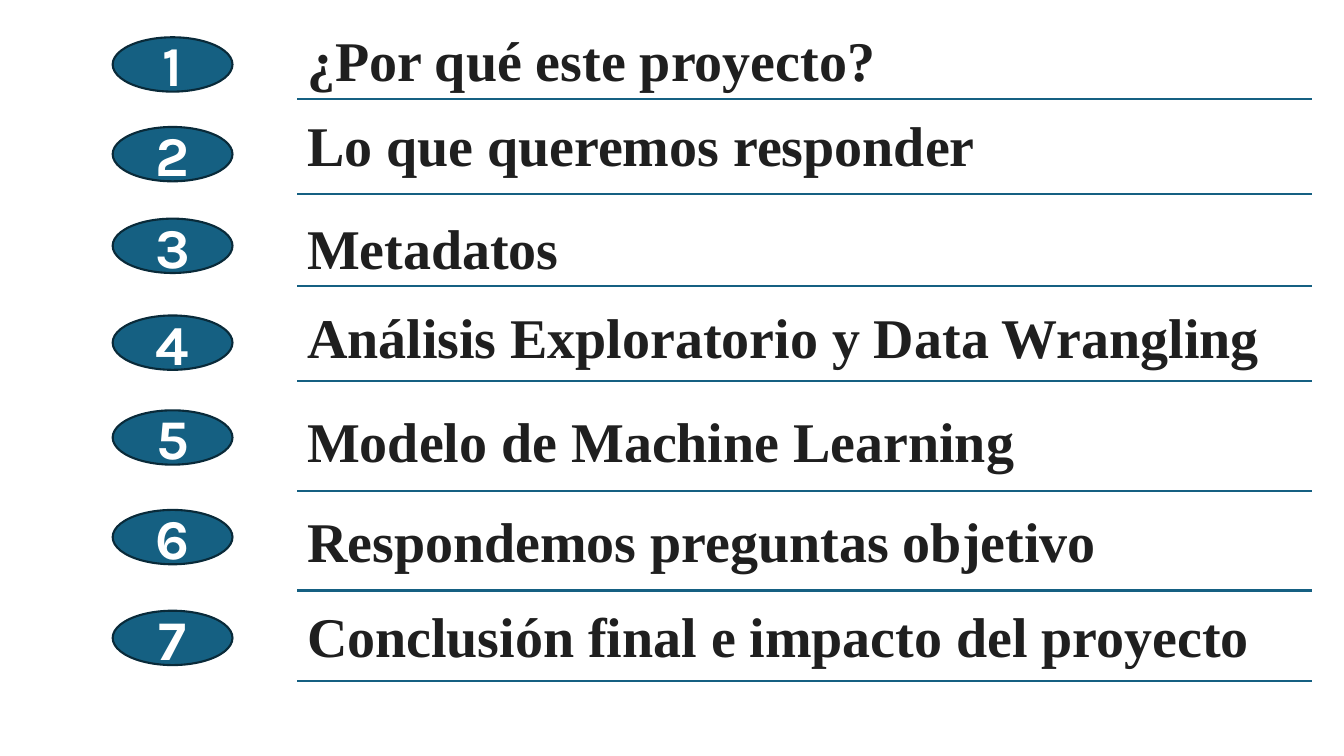
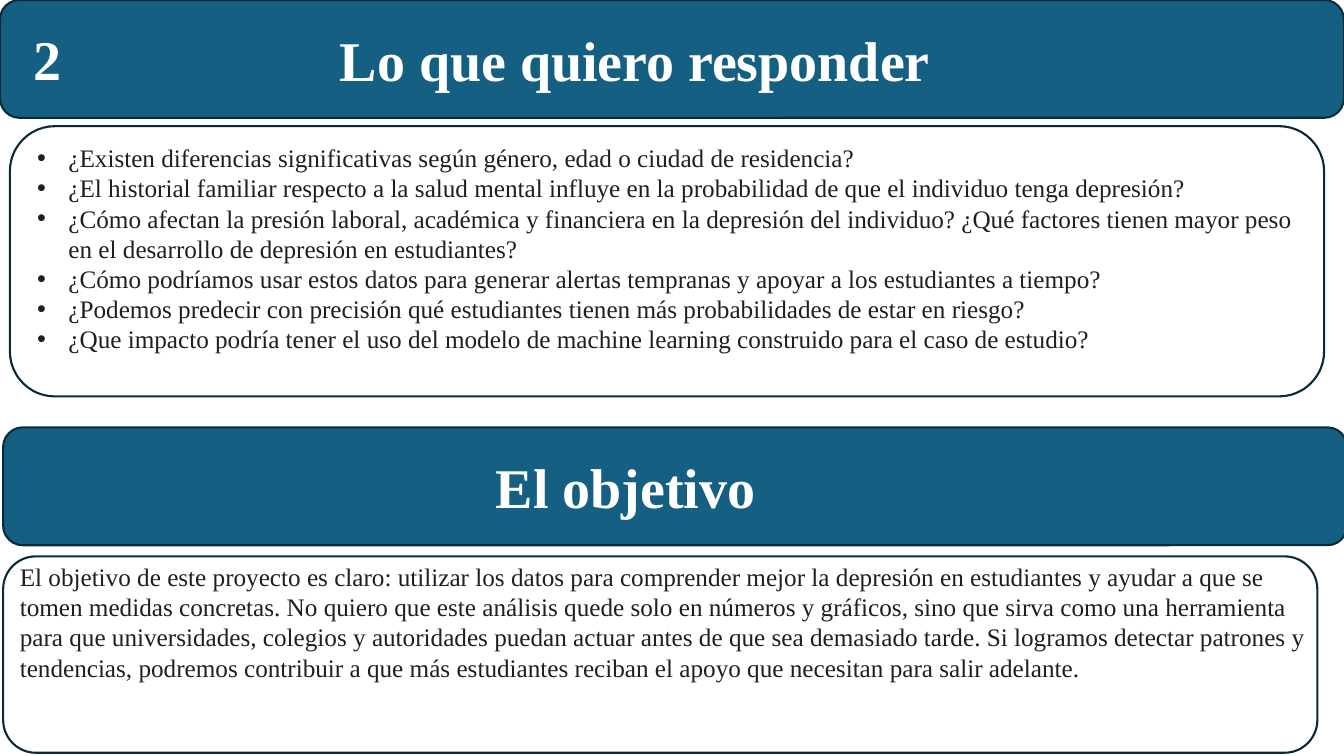
from collections import namedtuple

from lxml import etree
from pptx import Presentation
from pptx.dml.color import RGBColor
from pptx.enum.shapes import MSO_CONNECTOR, MSO_SHAPE
from pptx.enum.text import MSO_ANCHOR, MSO_AUTO_SIZE, PP_ALIGN
from pptx.oxml.ns import qn
from pptx.util import Cm, Pt

OVAL, ROUNDED = MSO_SHAPE.OVAL, MSO_SHAPE.ROUNDED_RECTANGLE
STRAIGHT = MSO_CONNECTOR.STRAIGHT
TOP, MIDDLE = MSO_ANCHOR.TOP, MSO_ANCHOR.MIDDLE
LEFT, CENTER = PP_ALIGN.LEFT, PP_ALIGN.CENTER
NO_AUTOFIT = MSO_AUTO_SIZE.NONE

BLUE = RGBColor(0x15, 0x60, 0x82)
NAVY = RGBColor(0x09, 0x2A, 0x39)
INK = RGBColor(0x1F, 0x1F, 0x1F)
WHITE = RGBColor(0xFF, 0xFF, 0xFF)

SERIF, NUMBER_FONT = "Times New Roman", "Karla"
HEADING_SIZE, BODY_SIZE = Pt(40), Pt(18)
LINE_WIDTH = Pt(1.5)
HEADING_HEIGHT = 1.96
BULLET_INDENT = Cm(0.79)

TITLE_AND_CONTENT, BLANK = 1, 6

# Lengths in centimetres
Box = namedtuple("Box", "left top width height")
AgendaItem = namedtuple("AgendaItem", "label oval_top text_top rule_top")

AGENDA_BOX = Box(2.84, 0, 30.23, 19.05)
AGENDA = [
    AgendaItem("¿Por qué este proyecto?", 0.94, 0.53, 2.49),
    AgendaItem("Lo que queremos responder", 3.2, 2.67, 4.88),
    AgendaItem("Metadatos", 5.51, 5.26, 7.21),
    AgendaItem("Análisis Exploratorio y Data Wrangling", 7.95, 7.49, 9.6),
    AgendaItem("Modelo de Machine Learning", 10.34, 10.11, 12.37),
    AgendaItem("Respondemos preguntas objetivo", 12.85, 12.65, 14.88),
    AgendaItem("Conclusión final e impacto del proyecto", 15.39, 15.04, 17.17),
]

QUESTIONS = [
    "¿Existen diferencias significativas según género, edad o ciudad de residencia?",
    "¿El historial familiar respecto a la salud mental influye en la probabilidad "
    "de que el individuo tenga depresión?",
    "¿Cómo afectan la presión laboral, académica y financiera en la depresión del "
    "individuo? ¿Qué factores tienen mayor peso en el desarrollo de depresión en "
    "estudiantes?",
    "¿Cómo podríamos usar estos datos para generar alertas tempranas y apoyar a "
    "los estudiantes a tiempo?",
    "¿Podemos predecir con precisión qué estudiantes tienen más probabilidades de "
    "estar en riesgo?",
    "¿Que impacto podría tener el uso del modelo de machine learning construido "
    "para el caso de estudio?",
]
OBJECTIVE = (
    "El objetivo de este proyecto es claro: utilizar los datos para comprender "
    "mejor la depresión en estudiantes y ayudar a que se tomen medidas concretas. "
    "No quiero que este análisis quede solo en números y gráficos, sino que sirva "
    "como una herramienta para que universidades, colegios y autoridades puedan "
    "actuar antes de que sea demasiado tarde. Si logramos detectar patrones y "
    "tendencias, podremos contribuir a que más estudiantes reciban el apoyo que "
    "necesitan para salir adelante."
)


def to_cm(box):
    return [Cm(length) for length in box]


def place(shape, box):
    shape.left, shape.top, shape.width, shape.height = to_cm(box)


def write(shape, texts, size, color, font=SERIF, bold=False, align=LEFT, anchor=TOP):
    """Fill the shape with one paragraph per text."""
    frame = shape.text_frame
    frame.text = "\n".join(texts)
    frame.word_wrap = True
    frame.auto_size = NO_AUTOFIT
    frame.vertical_anchor = anchor
    for paragraph in frame.paragraphs:
        paragraph.alignment = align
        paragraph.space_before = Pt(0)
        paragraph.font.name = font
        paragraph.font.size = size
        paragraph.font.bold = bold
        paragraph.font.color.rgb = color


def add_text(slide, box, text, size, color, bold=False):
    write(slide.shapes.add_textbox(*to_cm(box)), [text], size, color, bold=bold)


def add_outlined(slide, kind, box, fill=None):
    shape = slide.shapes.add_shape(kind, *to_cm(box))
    shape.shadow.inherit = False
    if fill is None:
        shape.fill.background()
    else:
        shape.fill.solid()
        shape.fill.fore_color.rgb = fill
    shape.line.color.rgb = NAVY
    shape.line.width = LINE_WIDTH
    return shape


def add_rule(slide, left, right, top):
    rule = slide.shapes.add_connector(STRAIGHT, Cm(left), Cm(top), Cm(right), Cm(top))
    rule.line.color.rgb = BLUE
    rule.line.width = LINE_WIDTH
    properties = rule.element.find(qn("p:spPr"))
    etree.SubElement(properties, qn("a:effectLst"))


def add_band(slide, left, top):
    box = Box(left, top, 33.87, 2.97)
    return box, add_outlined(slide, ROUNDED, box, BLUE)


def heading_box(band, offset, width):
    """Box for a heading, centred vertically in its band."""
    top = band.top + (band.height - HEADING_HEIGHT) / 2
    return Box(band.left + offset, top, width, HEADING_HEIGHT)


def add_agenda_item(slide, box, number, item):
    oval_box = Box(box.left, box.top + item.oval_top, 3.02, 1.37)
    oval = add_outlined(slide, OVAL, oval_box, BLUE)
    write(oval, [str(number)], HEADING_SIZE, WHITE, NUMBER_FONT, True, CENTER, MIDDLE)
    text_left = box.left + 4.65
    text_box = Box(text_left, box.top + item.text_top, 26.2, HEADING_HEIGHT)
    add_text(slide, text_box, item.label, HEADING_SIZE, INK, bold=True)
    add_rule(slide, text_left, box.left + box.width, box.top + item.rule_top)


def build_agenda_slide(presentation):
    slide = presentation.slides.add_slide(presentation.slide_layouts[BLANK])
    for number, item in enumerate(AGENDA, start=1):
        add_agenda_item(slide, AGENDA_BOX, number, item)


def add_title_band(slide, left, top, number, text):
    band, band_shape = add_band(slide, left, top)
    title = slide.shapes.title
    title.element.addprevious(band_shape.element)
    place(title, heading_box(band, 8.31, 20))
    write(title, [text], HEADING_SIZE, WHITE, bold=True)
    add_text(slide, heading_box(band, 0.6, 2), number, HEADING_SIZE, WHITE, bold=True)


def add_question_card(slide, box):
    add_outlined(slide, ROUNDED, box)
    body = slide.placeholders[1]
    place(body, Box(box.left + 0.43, box.top + 0.28, box.width - 0.46, 5.64))
    write(body, QUESTIONS, BODY_SIZE, INK)
    for paragraph in body.text_frame.paragraphs:
        properties = paragraph._p.get_or_add_pPr()
        properties.set("marL", str(BULLET_INDENT))
        properties.set("indent", str(-BULLET_INDENT))


def add_objective(slide, left, top):
    band, _ = add_band(slide, left, top)
    add_text(slide, heading_box(band, 12.17, 16.94), "El objetivo",
             HEADING_SIZE, WHITE, bold=True)
    card = Box(left, top + 3.25, 33.12, 4.95)
    add_outlined(slide, ROUNDED, card)
    text_box = Box(card.left + 0.17, card.top, card.width, 3.33)
    add_text(slide, text_box, OBJECTIVE, BODY_SIZE, INK)


def build_questions_slide(presentation):
    layout = presentation.slide_layouts[TITLE_AND_CONTENT]
    slide = presentation.slides.add_slide(layout)
    add_title_band(slide, 0, 0, "2", "Lo que quiero responder")
    add_question_card(slide, Box(0.25, 3.18, 33.12, 6.81))
    add_objective(slide, 0.08, 10.77)


def main():
    presentation = Presentation()
    presentation.slide_width = Cm(33.87)
    presentation.slide_height = Cm(19.05)
    build_agenda_slide(presentation)
    build_questions_slide(presentation)
    presentation.save("out.pptx")


if __name__ == "__main__":
    main()
